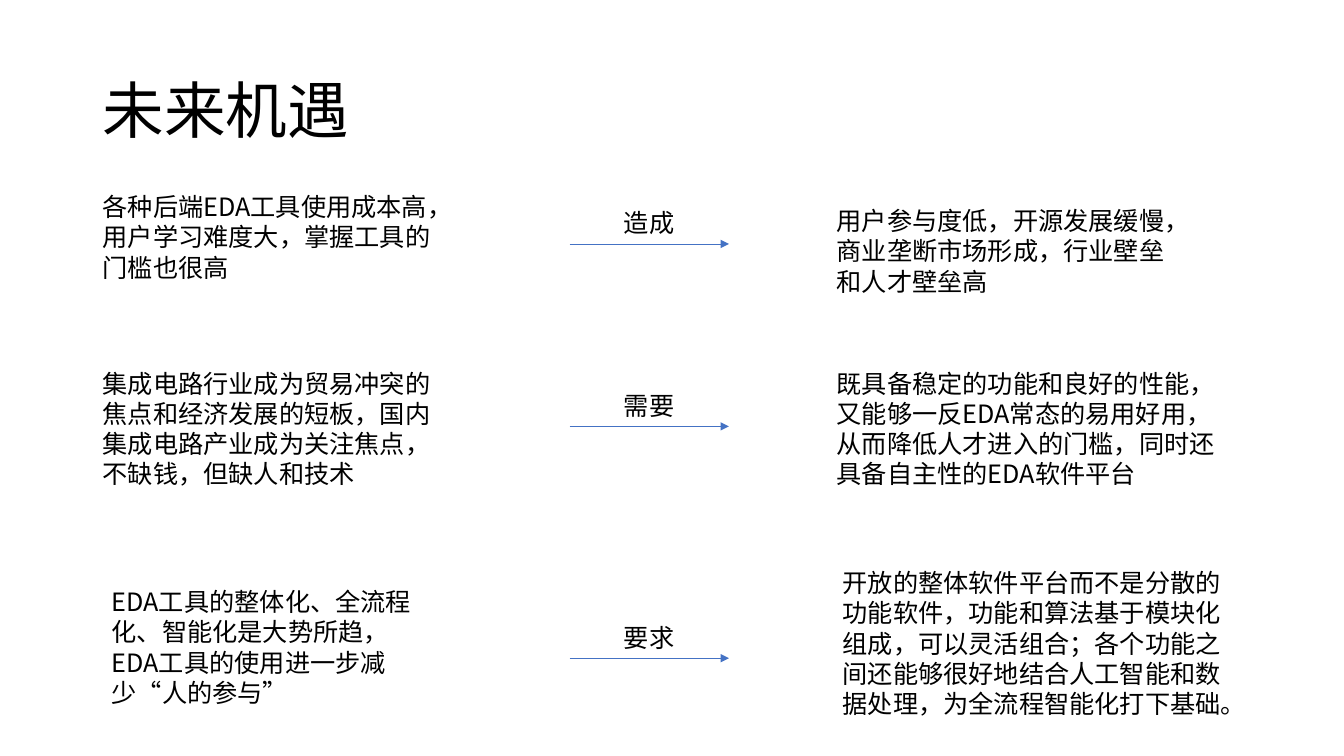
from dataclasses import dataclass

from lxml import etree
from pptx import Presentation
from pptx import util as u
from pptx.dml.color import RGBColor
from pptx.enum import shapes, text
from pptx.oxml.ns import qn
from pptx.slide import Slide
from pptx.text.text import TextFrame

FONT = "Noto Sans CJK SC"
BLACK, BLUE = "000000", "4472C4"
LINE = 0.3  # height of one line of body text
PAD = 0.1  # top and bottom inset together
ARROW_X, ARROW_END = 5.65, 7.23
LABEL_X, LABEL_W = 6.09, 0.71


@dataclass
class Note:
    words: str
    left: float
    top: float
    width: float
    lines: int


@dataclass
class Row:
    cause: Note
    label: str
    arrow_y: float
    effect: Note


ROWS = [
    Row(Note("各种后端EDA工具使用成本高，用户学习难度大，掌握工具的门槛也很高",
             0.92, 1.85, 3.57, 3),
        "造成", 2.42,
        Note("用户参与度低，开源发展缓慢，商业垄断市场形成，行业壁垒和人才壁垒高",
             8.2, 1.99, 3.68, 3)),
    Row(Note("集成电路行业成为贸易冲突的焦点和经济发展的短板，国内集成电路产业成为关注焦点，"
             "不缺钱，但缺人和技术",
             0.92, 3.6, 3.57, 4),
        "需要", 4.23,
        Note("既具备稳定的功能和良好的性能，又能够一反EDA常态的易用好用，"
             "从而降低人才进入的门槛，同时还具备自主性的EDA软件平台",
             8.2, 3.6, 4.13, 4)),
    Row(Note("EDA工具的整体化、全流程化、智能化是大势所趋，EDA工具的使用进一步减少“人的参与”",
             1.01, 5.77, 3.39, 4),
        "要求", 6.53,
        Note("开放的整体软件平台而不是分散的功能软件，功能和算法基于模块化组成，可以灵活组合；"
             "各个功能之间还能够很好地结合人工智能和数据处理，为全流程智能化打下基础。",
             8.26, 5.58, 4.07, 5)),
]


def color(code: str) -> RGBColor:
    return RGBColor.from_string(code)


def add_text(slide: Slide, words: str, left: float, top: float, width: float,
             height: float, size: float = 18, wrap: bool = True) -> TextFrame:
    box = slide.shapes.add_textbox(u.Inches(left), u.Inches(top),
                                   u.Inches(width), u.Inches(height))
    frame = box.text_frame
    frame.word_wrap = wrap
    para = frame.paragraphs[0]
    para.text = words
    para.line_spacing = u.Inches(LINE)
    font = para.font
    font.size = u.Pt(size)
    font.color.rgb = color(BLACK)
    font.name = FONT
    # East Asian characters take their typeface from a:ea
    etree.SubElement(font._element if hasattr(font, "_element") else font._rPr,
                     qn("a:ea"), typeface=FONT)
    return frame


def add_title(slide: Slide, words: str) -> None:
    frame = add_text(slide, words, 0.92, 0.4, 11.5, 1.45, 44)
    frame.vertical_anchor = text.MSO_ANCHOR.MIDDLE
    frame.paragraphs[0].line_spacing = 0.9


def add_note(slide: Slide, note: Note) -> None:
    add_text(slide, note.words, note.left, note.top, note.width,
             note.lines * LINE + PAD)


def add_arrow(slide: Slide, y: float) -> None:
    arrow = slide.shapes.add_connector(
        shapes.MSO_CONNECTOR.STRAIGHT, u.Inches(ARROW_X), u.Inches(y),
        u.Inches(ARROW_END), u.Inches(y))
    arrow.line.color.rgb = color(BLUE)
    arrow.line.width = u.Pt(0.5)
    etree.SubElement(arrow.line._get_or_add_ln(), qn("a:tailEnd"),
                     type="triangle")
    etree.SubElement(arrow._element.spPr, qn("a:effectLst"))


def add_row(slide: Slide, row: Row) -> None:
    height = LINE + PAD
    add_note(slide, row.cause)
    add_arrow(slide, row.arrow_y)
    add_text(slide, row.label, LABEL_X, row.arrow_y - height - 0.01, LABEL_W,
             height, wrap=False)
    add_note(slide, row.effect)


def main() -> None:
    deck = Presentation()
    deck.slide_width, deck.slide_height = u.Inches(13.33), u.Inches(7.5)
    slide = deck.slides.add_slide(deck.slide_layouts[6])
    add_title(slide, "未来机遇")
    for row in ROWS:
        add_row(slide, row)
    deck.save("out.pptx")


if __name__ == "__main__":
    main()
